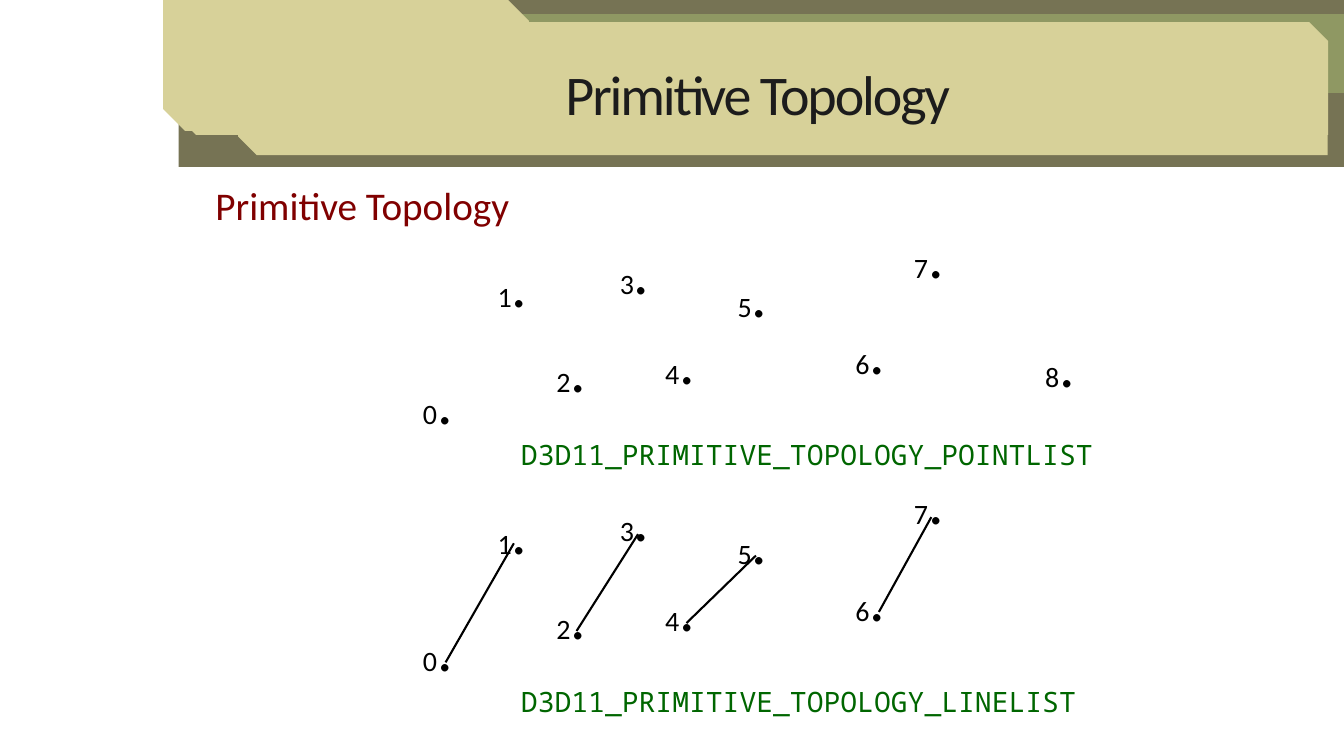
import pptx
import pptx.dml.color
import pptx.enum.shapes
import pptx.enum.text
import pptx.oxml
import pptx.oxml.ns
import pptx.util
from pptx.util import Cm

COLORS = {
    "shadow_band": "767354", "green_band": "8F9863", "sand": "D7D199",
    "title": "1C1C1C", "heading": "800000", "caption": "006600", "ink": "000000",
}
RECTANGLE = pptx.enum.shapes.MSO_SHAPE.RECTANGLE
SNIPPED = pptx.enum.shapes.MSO_SHAPE.SNIP_2_DIAG_RECTANGLE

# Left, top, width and height in centimetres
BANDS = [
    (RECTANGLE, "shadow_band", (4.5, -0.03, 29.37, 4.24)),
    (RECTANGLE, "green_band", (5.87, 0.36, 28, 1.98)),
    (SNIPPED, "sand", (4.11, -0.03, 9.22, 3.33)),
    (SNIPPED, "sand", (4.47, 0.56, 29, 2.84)),
    (SNIPPED, "sand", (6, 1.07, 27.46, 2.84)),
]
VERTICES = [
    (10.41, 9.02), (12.29, 6.08), (13.77, 8.21), (15.37, 5.75), (16.51, 8.02),
    (18.34, 6.33), (21.31, 7.77), (22.78, 5.33), (26.09, 8.1),
]
LINE_LIST_DROP = 6.22
LINE_LIST_SIZE = 8
SEGMENTS = [
    (11.23, 16.69, 12.95, 13.69), (14.53, 15.9, 16.08, 13.46),
    (17.3, 15.7, 19.05, 14), (23.47, 13.03, 22.15, 15.42),
]


def rgb(name):
    return pptx.dml.color.RGBColor.from_string(COLORS[name])


def style_font(font, size, color, name="Calibri"):
    font.size = pptx.util.Pt(size)
    font.name = name
    font.color.rgb = rgb(color)


def add_band(slide, kind, color, box):
    band = slide.shapes.add_shape(kind, *map(Cm, box))
    band.shadow.inherit = False
    band.fill.solid()
    band.fill.fore_color.rgb = rgb(color)
    band.line.fill.background()


def format_title(slide, text):
    title = slide.shapes.title
    title.left, title.top, title.width, title.height = map(Cm, (6, 0.76, 26.19, 3.18))
    title.text_frame.text = text
    title.text_frame.vertical_anchor = pptx.enum.text.MSO_ANCHOR.MIDDLE
    paragraph = title.text_frame.paragraphs[0]
    paragraph.alignment = pptx.enum.text.PP_ALIGN.CENTER
    style_font(paragraph.font, 40, "title")
    for run in title.element.iter(pptx.oxml.ns.qn("a:r")):
        run.get_or_add_rPr().set("spc", "-150")
    # The title stands in front of the bands
    title.element.getparent().append(title.element)


def add_text_box(slide, box):
    """Add a wrapping text box and return its first paragraph."""
    frame = slide.shapes.add_textbox(*map(Cm, box)).text_frame
    frame.word_wrap = True
    return frame.paragraphs[0]


def add_heading(slide, text):
    paragraph = add_text_box(slide, (5.18, 4.45, 23.8, 6.83))
    paragraph.text = text
    style_font(paragraph.font, 28, "heading")


def add_caption(slide, text, top):
    paragraph = add_text_box(slide, (9.07, top, 19.35, 1.12))
    paragraph.text = text
    paragraph.level = 3
    style_font(paragraph.font, 20, "caption", "Noto Sans Mono")


def add_vertex(slide, number, left, top):
    """Add a numbered point, its dot being a large full stop."""
    paragraph = add_text_box(slide, (left, top, 1.47, 2.13))
    for text, size in ((str(number), 20), (".", 44)):
        run = paragraph.add_run()
        run.text = text
        style_font(run.font, size, "ink")


def add_segment(slide, ends):
    segment = slide.shapes.add_connector(
        pptx.enum.shapes.MSO_CONNECTOR.STRAIGHT, *map(Cm, ends))
    segment.line.color.rgb = rgb("ink")
    segment.line.width = pptx.util.Pt(1.5)
    properties = segment.element.find(pptx.oxml.ns.qn("p:spPr"))
    properties.append(pptx.oxml.parse_xml(
        f'<a:effectLst {pptx.oxml.ns.nsdecls("a")}/>'))


def main():
    presentation = pptx.Presentation()
    presentation.slide_width, presentation.slide_height = Cm(33.87), Cm(19.05)
    slide = presentation.slides.add_slide(
        presentation.slide_layouts.get_by_name("Title Only"))

    for band in BANDS:
        add_band(slide, *band)
    format_title(slide, "Primitive Topology")
    add_heading(slide, "Primitive Topology")

    for number, (left, top) in enumerate(VERTICES):
        add_vertex(slide, number, left, top)
    add_caption(slide, "D3D11_PRIMITIVE_TOPOLOGY_POINTLIST", 10.9)

    for number, (left, top) in enumerate(VERTICES[:LINE_LIST_SIZE]):
        add_vertex(slide, number, left, top + LINE_LIST_DROP)
    add_caption(slide, "D3D11_PRIMITIVE_TOPOLOGY_LINELIST", 10.9 + LINE_LIST_DROP)
    for ends in SEGMENTS:
        add_segment(slide, ends)

    presentation.save("out.pptx")


if __name__ == "__main__":
    main()
